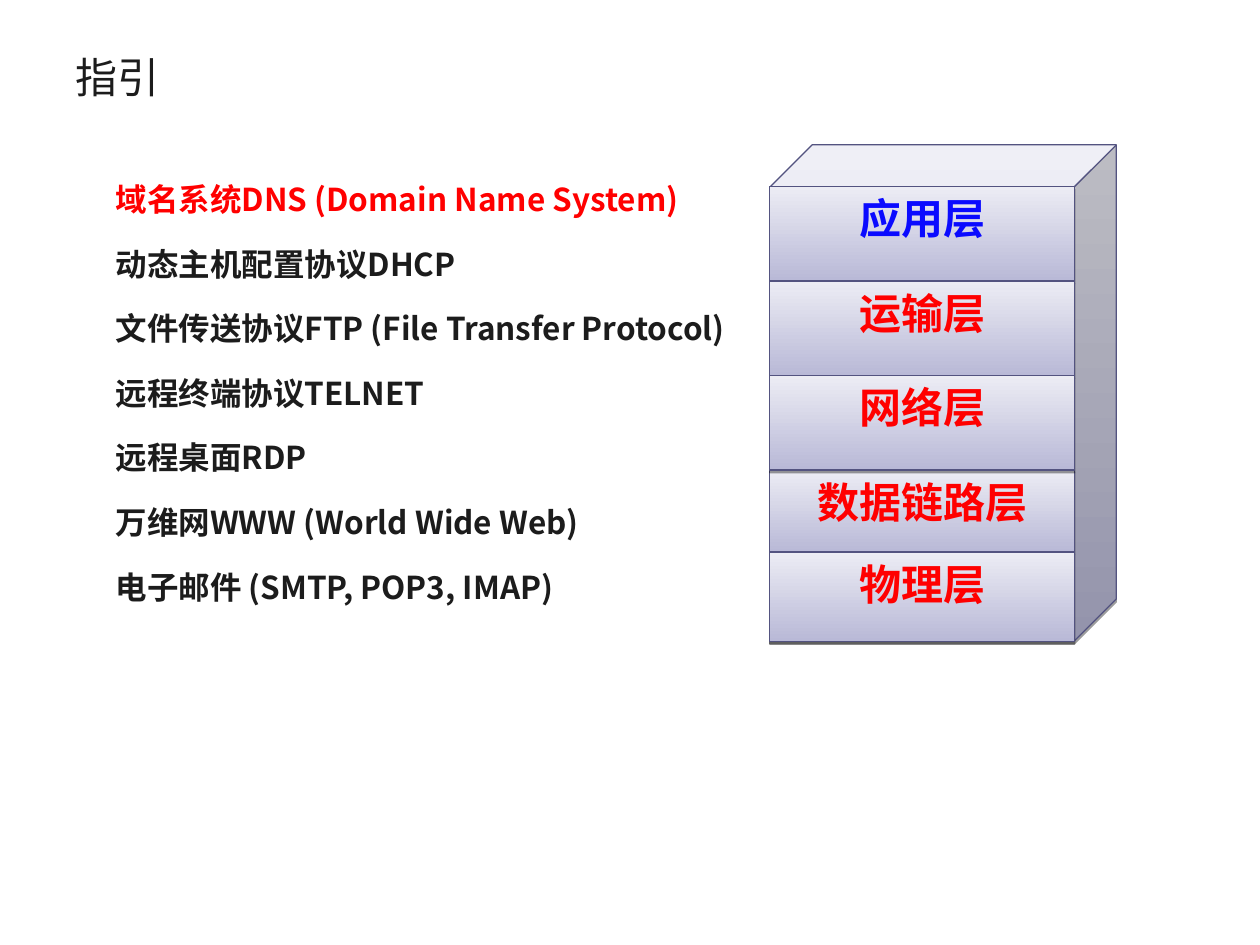
from itertools import pairwise

from lxml import etree
from pptx import Presentation
from pptx.dml.color import RGBColor
from pptx.enum.shapes import MSO_CONNECTOR, MSO_SHAPE
from pptx.enum.text import MSO_ANCHOR, PP_ALIGN
from pptx.oxml import parse_xml
from pptx.oxml.ns import nsdecls, qn
from pptx.util import Inches, Pt

CUBE, RECTANGLE = MSO_SHAPE.CUBE, MSO_SHAPE.RECTANGLE
STRAIGHT = MSO_CONNECTOR.STRAIGHT
TOP, MIDDLE = MSO_ANCHOR.TOP, MSO_ANCHOR.MIDDLE
LEFT, CENTER = PP_ALIGN.LEFT, PP_ALIGN.CENTER

COLUMNS, ROWS = 100, 75
COLORS = {
    "ink": "1C1C1C",
    "red": "FF0000",
    "blue": "0A0AFF",
    "edge": "535380",
    "face_dark": "B9B9D7",
    "face_light": "ECECF4",
    "shadow": "000000",
}
CJK, LATIN = "Noto Sans CJK SC", "Karla"

TOPICS = [
    "域名系统DNS (Domain Name System)",
    "动态主机配置协议DHCP",
    "文件传送协议FTP (File Transfer Protocol)",
    "远程终端协议TELNET",
    "远程桌面RDP",
    "万维网WWW (World Wide Web)",
    "电子邮件 (SMTP, POP3, IMAP)",
]
LAYERS = [
    ("应用层", "blue", CJK),
    ("运输层", "red", CJK),
    ("网络层", "red", LATIN),
    ("数据链路层", "red", LATIN),
    ("物理层", "red", LATIN),
]
LAYER_ROWS = [14.8, 22.3, 29.8, 37.3, 43.8, 50.9]
DRAW_ORDER = [0, 1, 3, 2, 4]  # the network layer casts its shadow on the link layer
DIVIDERS = {0: [22.3], 1: [29.8], 3: [37.3, 49]}  # rows of the rules, by layer
SIDES = {0: (14.8, 22.3), 1: (22.3, 29.8), 2: (29.8, 37.3), 3: (37.3, 49)}
STACK_LEFT, STACK_WIDTH = 61.1, 24.2


def rgb(name):
    return RGBColor.from_string(COLORS[name])


class SlideBuilder:
    """Holds the style and the current slide; lengths are grid columns and rows."""

    def __init__(self, deck):
        self.column = deck.slide_width / COLUMNS
        self.row = deck.slide_height / ROWS
        self.page = deck.slides.add_slide(deck.slide_layouts[6])
        self.shapes = self.page.shapes

    def place(self, left, top, width, height):
        return (round(left * self.column), round(top * self.row),
                round(width * self.column), round(height * self.row))

    def start_group(self):
        self.shapes = self.page.shapes.add_group_shape().shapes

    def style(self, para, size, color, font=CJK, bold=False, align=LEFT):
        para.alignment = align
        para.font.size, para.font.bold = Pt(size), bold
        para.font.color.rgb = rgb(color)
        para.font.name = font
        for span in para.runs:
            properties = span.font._element
            etree.SubElement(properties, qn("a:ea")).set("typeface", CJK)

    def text(self, area, lines, size, colors, bold=False, anchor=TOP,
             spacing=1.0, gap=0, margin=0, indent=0):
        box = self.shapes.add_textbox(*self.place(*area))
        frame = box.text_frame
        frame.word_wrap = True
        frame.vertical_anchor = anchor
        for index, (line, color) in enumerate(zip(lines, colors)):
            para = frame.add_paragraph() if index else frame.paragraphs[0]
            para.add_run().text = line
            para.line_spacing = spacing
            para.space_before = Pt(gap if index else 0)
            properties = para._p.get_or_add_pPr()
            properties.set("marL", str(Inches(margin)))
            properties.set("indent", str(Inches(indent)))
            self.style(para, size, color, bold=bold)

    def block(self, kind, area):
        """Add a shape with the shaded face, thin edge and drop shadow."""
        shape = self.shapes.add_shape(kind, *self.place(*area))
        shape.fill.gradient()
        shape.fill.gradient_angle = 90
        for stop, color in zip(shape.fill.gradient_stops, ("face_dark", "face_light")):
            stop.color.rgb = rgb(color)
        shape.line.color.rgb = rgb("edge")
        shape.line.width = Pt(0.75)
        shape.shadow.inherit = False
        shape._element.spPr.find(qn("a:effectLst")).append(parse_xml(
            f'<a:outerShdw {nsdecls("a")} blurRad="0" dist="{Pt(1.6)}" dir="5400000" '
            f'rotWithShape="0"><a:srgbClr val="{COLORS["shadow"]}">'
            '<a:alpha val="38000"/></a:srgbClr></a:outerShdw>'))
        return shape

    def layer(self, area, label, color, font):
        frame = self.block(RECTANGLE, area).text_frame
        frame.word_wrap = True
        frame.vertical_anchor = TOP
        para = frame.paragraphs[0]
        para.add_run().text = label
        self.style(para, 24, color, font, bold=True, align=CENTER)

    def edge(self, left, top, right, bottom):
        line = self.shapes.add_connector(
            STRAIGHT, *self.place(left, top, right, bottom))
        line.line.color.rgb = rgb("edge")
        line.line.width = Pt(0.75)
        etree.SubElement(line._element.spPr, qn("a:effectLst"))


def main():
    deck = Presentation()
    deck.slide_width, deck.slide_height = Inches(10), Inches(7.5)
    builder = SlideBuilder(deck)

    topic_colors = ["red"] + ["ink"] * (len(TOPICS) - 1)
    builder.text((4.3, 12.3, 77.3, 49.5), TOPICS, 18, topic_colors, bold=True,
                 spacing=1.5, gap=4.5, margin=0.38, indent=0.01)
    builder.text((5, 3, 90, 6.1), ["指引"], 24, ["ink"], anchor=MIDDLE)

    builder.start_group()
    cube = builder.block(CUBE, (STACK_LEFT, 11.5, 27.5, 39.4))
    cube.adjustments[0] = 0.122
    bands = list(pairwise(LAYER_ROWS))
    stack_right = STACK_LEFT + STACK_WIDTH
    for index in DRAW_ORDER:
        top, bottom = bands[index]
        builder.layer((STACK_LEFT, top, STACK_WIDTH, bottom - top), *LAYERS[index])
        for row in DIVIDERS.get(index, []):
            builder.edge(STACK_LEFT, row, stack_right, row)
        if index in SIDES:
            start, end = SIDES[index]
            for side in (STACK_LEFT, stack_right):
                builder.edge(side, start, side, end)

    deck.save("out.pptx")


if __name__ == "__main__":
    main()
